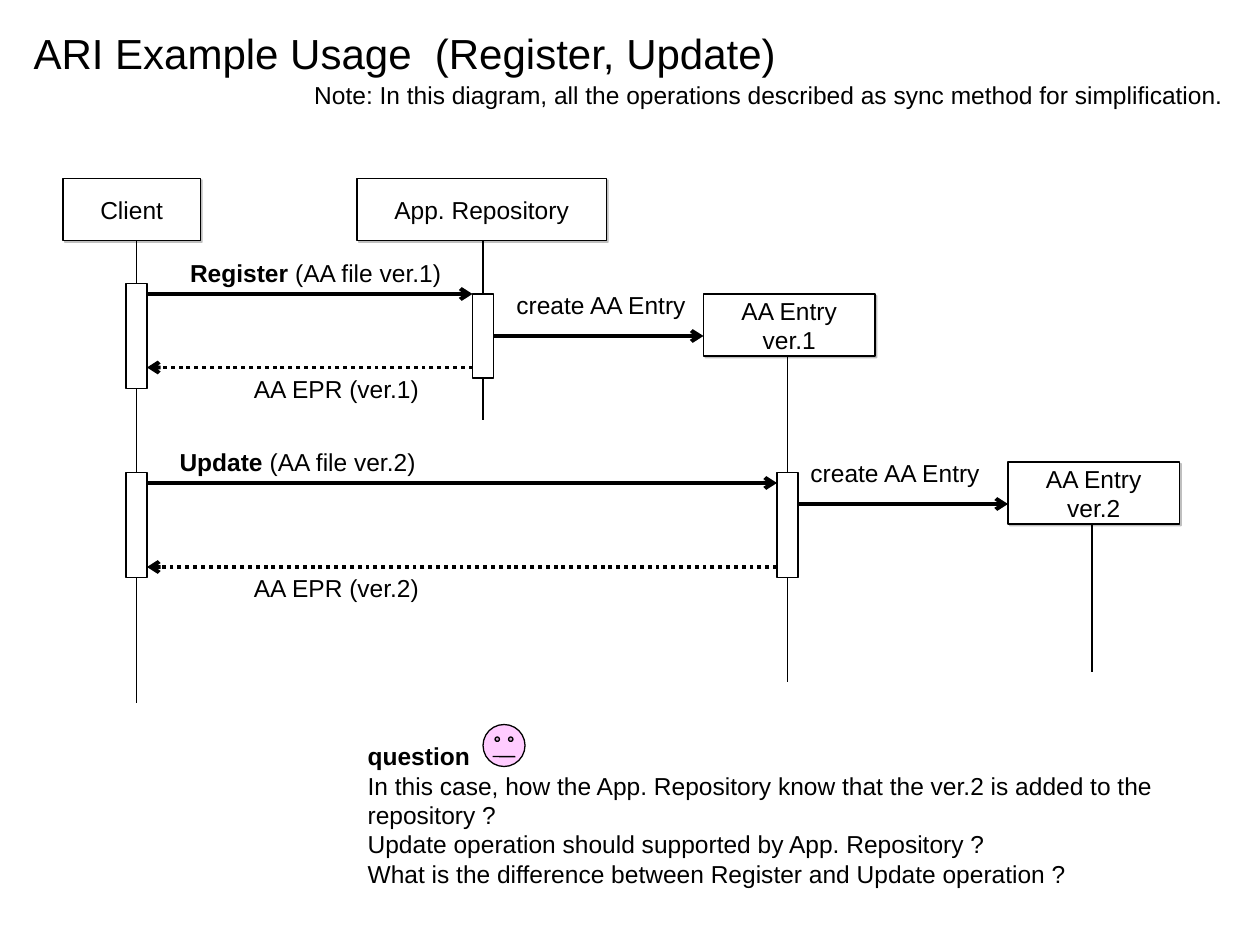
from dataclasses import dataclass

import lxml.etree
import pptx
import pptx.dml.color
import pptx.enum.dml
import pptx.enum.shapes
import pptx.enum.text
import pptx.oxml
import pptx.oxml.ns
import pptx.util

Pt = pptx.util.Pt
qn = pptx.oxml.ns.qn
Align = pptx.enum.text.PP_ALIGN
Anchor = pptx.enum.text.MSO_ANCHOR
Preset = pptx.enum.shapes.MSO_SHAPE

INK, PAPER, PINK = "000000", "FFFFFF", "FFCCFF"
BAR_WIDTH = 12
HEAD_HEIGHT = 35.5
LABEL_HEIGHT = 24.5


@dataclass
class Participant:
    lines: list[str]
    left: float
    top: float
    width: float
    axis: float
    end: float


@dataclass
class Activation:
    participant: Participant
    top: float
    height: float


@dataclass
class Message:
    start: float
    end: float
    y: float
    is_reply: bool = False


@dataclass
class Label:
    """A text block; the bold part opens the first line."""
    bold: str
    lines: list[str]
    left: float
    top: float
    width: float
    height: float = LABEL_HEIGHT


def color(value: str) -> pptx.dml.color.RGBColor:
    return pptx.dml.color.RGBColor.from_string(value)


def add_run(paragraph, text: str, size: float = 14, bold: bool = False) -> None:
    run = paragraph.add_run()
    run.text = text
    run.font.name = "Arial"
    run.font.size = Pt(size)
    run.font.bold = bold
    run.font.color.rgb = color(INK)


def set_frame(frame, side: float = 7.2, edge: float = 3.6, anchor=Anchor.TOP) -> None:
    frame.word_wrap = False
    frame.auto_size = pptx.enum.text.MSO_AUTO_SIZE.NONE
    frame.vertical_anchor = anchor
    frame.margin_left = frame.margin_right = Pt(side)
    frame.margin_top = frame.margin_bottom = Pt(edge)


def add_lines(frame, lines: list[str], align=Align.LEFT, bold: str = "") -> None:
    for index, line in enumerate(lines):
        paragraph = frame.add_paragraph() if index else frame.paragraphs[0]
        paragraph.alignment = align
        if bold and index == 0:
            add_run(paragraph, bold, bold=True)
        if line:
            add_run(paragraph, line)


def add_outlined(slide, preset, left: float, top: float, width: float, height: float,
                 fill: str = PAPER):
    shape = slide.shapes.add_shape(preset, Pt(left), Pt(top), Pt(width), Pt(height))
    shape.shadow.inherit = False
    shape.fill.solid()
    shape.fill.fore_color.rgb = color(fill)
    shape.line.color.rgb = color(INK)
    shape.line.width = Pt(0.75)
    return shape


def add_drop_shadow(shape) -> None:
    effects = shape._element.spPr.find(qn("a:effectLst"))
    shadow = lxml.etree.SubElement(effects, qn("a:outerShdw"), dist=str(Pt(1.4)),
                                   dir="2700000", algn="ctr", rotWithShape="0")
    tint = lxml.etree.SubElement(shadow, qn("a:srgbClr"), val="808080")
    lxml.etree.SubElement(tint, qn("a:alpha"), val="50000")


def add_line(slide, x1: float, y1: float, x2: float, y2: float, weight: float):
    line = slide.shapes.add_connector(pptx.enum.shapes.MSO_CONNECTOR.STRAIGHT,
                                      Pt(x1), Pt(y1), Pt(x2), Pt(y2))
    line.line.color.rgb = color(INK)
    line.line.width = Pt(weight)
    lxml.etree.SubElement(line._element.spPr, qn("a:effectLst"))
    return line


def draw_participant(slide, participant: Participant) -> None:
    """Draws the head box and the lifeline below it."""
    head = add_outlined(slide, Preset.RECTANGLE, participant.left, participant.top,
                        participant.width, HEAD_HEIGHT)
    add_drop_shadow(head)
    set_frame(head.text_frame, side=0, edge=0, anchor=Anchor.MIDDLE)
    add_lines(head.text_frame, participant.lines, Align.CENTER)
    add_line(slide, participant.axis, participant.top + HEAD_HEIGHT,
             participant.axis, participant.end, 0.75)


def draw_activation(slide, activation: Activation) -> None:
    add_outlined(slide, Preset.RECTANGLE, activation.participant.axis - BAR_WIDTH / 2,
                 activation.top, BAR_WIDTH, activation.height)


def draw_message(slide, message: Message) -> None:
    arrow = add_line(slide, message.start, message.y, message.end, message.y, 2.25)
    if message.is_reply:
        arrow.line.dash_style = pptx.enum.dml.MSO_LINE.ROUND_DOT
    lxml.etree.SubElement(arrow.line._get_or_add_ln(), qn("a:tailEnd"), type="arrow")


def draw_label(slide, label: Label) -> None:
    box = slide.shapes.add_textbox(Pt(label.left), Pt(label.top),
                                   Pt(label.width), Pt(label.height))
    set_frame(box.text_frame)
    add_lines(box.text_frame, label.lines, bold=label.bold)


def draw_title(slide, text: str) -> None:
    title = slide.shapes.title
    title.left, title.top, title.width, title.height = Pt(12), Pt(12), Pt(440), Pt(36)
    set_frame(title.text_frame)
    title.text_frame.paragraphs[0].alignment = Align.LEFT
    add_run(title.text_frame.paragraphs[0], text, size=24)


def main() -> None:
    deck = pptx.Presentation()
    deck.slide_width, deck.slide_height = Pt(720), Pt(540)
    slide = deck.slides.add_slide(deck.slide_layouts[5])
    draw_title(slide, "ARI Example Usage  (Register, Update)")

    client = Participant(["Client"], 36, 102, 78.5, 78, 402)
    repository = Participant(["App. Repository"], 204, 102, 142.5, 276, 240)
    entry1 = Participant(["AA Entry", "ver.1"], 402, 168, 98, 450, 390)
    entry2 = Participant(["AA Entry", "ver.2"], 576, 264, 98, 624, 384)
    half = BAR_WIDTH / 2
    client_edge = client.axis + half

    for participant in (client, repository, entry1, entry2):
        draw_participant(slide, participant)

    for message in (
        Message(client_edge, repository.axis - half, 168),
        Message(repository.axis + half, entry1.left, 192),
        Message(repository.axis - half, client_edge, 210, is_reply=True),
        Message(client_edge, entry1.axis - half, 276),
        Message(entry1.axis + half, entry2.left, 288),
        Message(entry1.axis - half, client_edge, 324, is_reply=True),
    ):
        draw_message(slide, message)

    for activation in (Activation(client, 162, 60), Activation(repository, 168, 48),
                       Activation(client, 270, 60), Activation(entry1, 270, 60)):
        draw_activation(slide, activation)

    for label in (
        Label("", ["Note: In this diagram, all the operations described as sync method "
                   "for simplification."], 172.5, 42, 534),
        Label("Register", [" (AA file ver.1)"], 101.5, 144, 159),
        Label("", ["create AA Entry"], 288, 162, 112),
        Label("", ["AA EPR (ver.1)"], 138, 210, 110),
        Label("Update", [" (AA file ver.2)"], 95.5, 252, 150.5),
        Label("", ["create AA Entry"], 456, 258, 112),
        Label("", ["AA EPR (ver.2)"], 138, 324, 110),
        Label("question", [
            "",
            "In this case, how the App. Repository know that the ver.2 is added to the",
            "repository ?",
            "Update operation should supported by App. Repository ?",
            "What is the difference between Register and Update operation ?",
        ], 203, 420, 464.5, 91.5),
    ):
        draw_label(slide, label)

    doubtful_face = add_outlined(slide, Preset.SMILEY_FACE, 276, 414, 24, 24, PINK)
    doubtful_face.adjustments[0] = 0
    deck.save("out.pptx")


if __name__ == "__main__":
    main()
